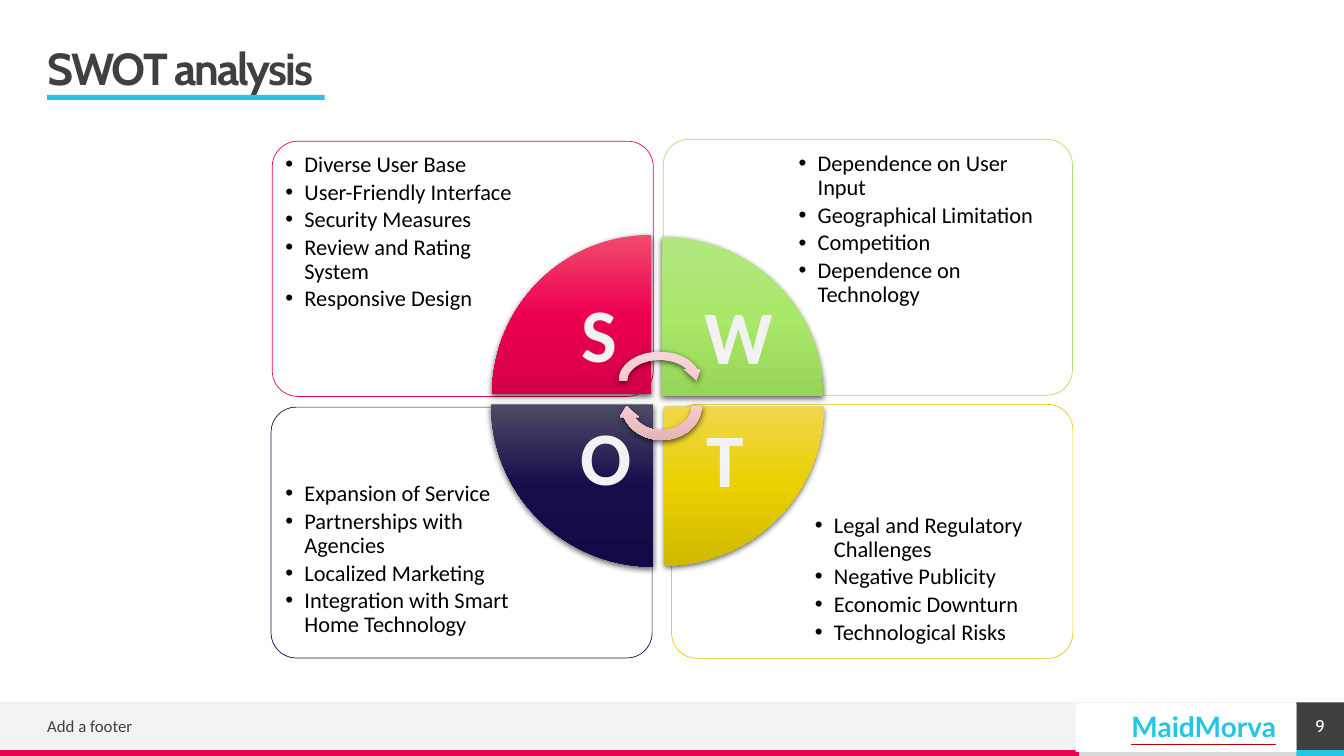
import pptx
import pptx.dml.color
import pptx.enum.shapes
import pptx.enum.text
import pptx.oxml
import pptx.oxml.ns
import pptx.util

Cm = pptx.util.Cm
Pt = pptx.util.Pt
RGBColor = pptx.dml.color.RGBColor
SHAPE = pptx.enum.shapes.MSO_SHAPE
ALIGN = pptx.enum.text.PP_ALIGN
ANCHOR = pptx.enum.text.MSO_ANCHOR
NAMESPACE = pptx.oxml.ns.nsdecls("a")
qualified = pptx.oxml.ns.qn

WHITE = RGBColor(0xFF, 0xFF, 0xFF)
BLACK = RGBColor(0, 0, 0)
DARK = RGBColor(0x40, 0x40, 0x40)
PALE = RGBColor(0xF2, 0xF2, 0xF2)
SILVER = RGBColor(0xDA, 0xDA, 0xDA)
CYAN = RGBColor(0x25, 0xC6, 0xE3)
PINK = RGBColor(0xE8, 0x05, 0x54)
GREEN = RGBColor(0xA9, 0xE2, 0x6F)
NAVY = RGBColor(0x1A, 0x0F, 0x49)
YELLOW = RGBColor(0xEA, 0xD0, 0x00)
UNDERLINE_RED = RGBColor(0xC0, 0x00, 0x00)

# Gradients run from top to bottom
PINK_STOPS = (RGBColor(0xF1, 0x4B, 0x6B), RGBColor(0xED, 0x00, 0x52), RGBColor(0xD3, 0x00, 0x49))
GREEN_STOPS = (RGBColor(0xB3, 0xE6, 0x81), RGBColor(0xA9, 0xE8, 0x69), RGBColor(0x96, 0xD5, 0x57))
YELLOW_STOPS = (RGBColor(0xF0, 0xD7, 0x4B), YELLOW, RGBColor(0xD0, 0xB9, 0x00))
NAVY_STOPS = (RGBColor(0x4E, 0x4C, 0x64), RGBColor(0x18, 0x0C, 0x4C), RGBColor(0x14, 0x08, 0x46))
ARROW_STOPS = (RGBColor(0xF8, 0xD6, 0xDA), RGBColor(0xF8, 0xCA, 0xCF), RGBColor(0xE0, 0xB0, 0xB5))

TITLE_FONT = {"name": "Cabin", "size": Pt(32), "bold": True}
LIST_FONT = {"name": "Calibri", "size": Pt(16), "bold": False}
LETTER_FONT = {"name": "Calibri", "size": Pt(54), "bold": True}
FOOTER_FONT = {"name": "Calibri", "size": Pt(12)}
NUMBER_FONT = {"name": "Cabin", "size": Pt(12)}
BADGE_FONT = {"name": "Lato", "size": Pt(20), "bold": True, "underline": True}

# Boxes are left, top, width, height in centimetres
QUADRANTS = [
    {"letter": "T", "line": YELLOW, "stops": YELLOW_STOPS, "rotation": 180,
     "card": (16.92, 10.19, 10.11, 6.4), "list": (20.09, 11.91, 6.81, 4.52),
     "wedge": (16.74, 10.24, 4.01, 4.01), "letter_at": (17.81, 10.24),
     "inset": 0.18, "indent": 0.74, "anchor": ANCHOR.BOTTOM,
     "items": ["Legal and Regulatory Challenges", "Negative Publicity",
               "Economic Downturn", "Technological Risks"]},
    {"letter": "O", "line": NAVY, "stops": NAVY_STOPS, "rotation": 270,
     "card": (6.83, 10.26, 9.6, 6.32), "list": (6.99, 11.96, 6.43, 4.47),
     "wedge": (12.37, 10.19, 4.09, 4.09), "letter_at": (14.63, 10.19),
     "inset": 0.2, "indent": 0.48, "anchor": ANCHOR.TOP,
     "items": ["Expansion of Service", "Partnerships with Agencies",
               "Localized Marketing", "Integration with Smart Home Technology"]},
    {"letter": "W", "line": GREEN, "stops": GREEN_STOPS, "rotation": 90,
     "card": (16.71, 3.51, 10.31, 6.45), "list": (19.94, 3.66, 6.73, 4.57),
     "wedge": (16.71, 5.94, 4.01, 4.06), "letter_at": (17.75, 7.14),
     "inset": 0.18, "indent": 0.48, "anchor": ANCHOR.TOP,
     "items": ["Dependence on User Input", "Geographical Limitation",
               "Competition", "Dependence on Technology"]},
    {"letter": "S", "line": PINK, "stops": PINK_STOPS, "rotation": 0,
     "card": (6.86, 3.56, 9.6, 6.43), "list": (7.01, 3.68, 6.45, 4.55),
     "wedge": (12.4, 5.92, 4.01, 4.01), "letter_at": (14.66, 7.11),
     "inset": 0.18, "indent": 0.48, "anchor": ANCHOR.TOP,
     "items": ["Diverse User Base", "User-Friendly Interface", "Security Measures",
               "Review and Rating System", "Responsive Design"]},
]


def apply_format(target, values):
    for name, value in values.items():
        setattr(target, name, value)


def place(shape, box):
    apply_format(shape, dict(zip(("left", "top", "width", "height"), map(Cm, box))))


def set_frame(frame, inset=0, anchor=ANCHOR.MIDDLE):
    sides = ("margin_left", "margin_top", "margin_right", "margin_bottom")
    apply_format(frame, dict.fromkeys(sides, Cm(inset)))
    apply_format(frame, {"word_wrap": True, "vertical_anchor": anchor,
                         "auto_size": pptx.enum.text.MSO_AUTO_SIZE.NONE})


def write(paragraph, text, font, color, align=ALIGN.LEFT, spacing=1.0, tracking=0):
    run = paragraph.add_run()
    run.text = text
    apply_format(run.font, font)
    run.font.color.rgb = color
    apply_format(paragraph, {"alignment": align, "line_spacing": spacing, "space_before": Pt(0)})
    if tracking:
        run.font._element.set("spc", str(tracking))
    return run


def add_block(slide, kind, box, fill=None, line=None):
    shape = slide.shapes.add_shape(kind, *map(Cm, box))
    shape.shadow.inherit = False
    if fill is not None:
        shape.fill.solid()
        shape.fill.fore_color.rgb = fill
    if line is None:
        shape.line.fill.background()
    else:
        shape.line.color.rgb = line
        shape.line.width = Pt(0.5)
    return shape


def add_label(slide, box, text, font, color, **options):
    label = slide.shapes.add_textbox(*map(Cm, box))
    set_frame(label.text_frame)
    write(label.text_frame.paragraphs[0], text, font, color, **options)


def add_glossy(slide, kind, box, stops, rotation):
    shape = add_block(slide, kind, box)
    shape.rotation = rotation
    shape.fill.background()
    properties = shape.element.spPr
    marks = "".join(f'<a:gs pos="{position}"><a:srgbClr val="{color}"/></a:gs>'
                    for position, color in zip((0, 50000, 100000), stops))
    gradient = pptx.oxml.parse_xml(
        f'<a:gradFill {NAMESPACE} rotWithShape="0"><a:gsLst>{marks}</a:gsLst>'
        '<a:lin ang="5400000" scaled="0"/></a:gradFill>')
    properties.replace(properties.find(qualified("a:noFill")), gradient)
    properties.find(qualified("a:effectLst")).append(pptx.oxml.parse_xml(
        f'<a:outerShdw {NAMESPACE} blurRad="57150" dist="19050" dir="5400000" algn="ctr" '
        'rotWithShape="0"><a:srgbClr val="000000"><a:alpha val="63000"/></a:srgbClr></a:outerShdw>'))


def add_card(slide, quadrant):
    card = add_block(slide, SHAPE.ROUNDED_RECTANGLE, quadrant["card"], WHITE, quadrant["line"])
    card.adjustments[0] = 0.1
    color = card.element.spPr.find(qualified("a:solidFill"))[0]
    color.append(pptx.oxml.parse_xml(f'<a:alpha {NAMESPACE} val="90000"/>'))


def fill_list(placeholder, quadrant):
    place(placeholder, quadrant["list"])
    frame = placeholder.text_frame
    set_frame(frame, quadrant["inset"], quadrant["anchor"])
    for index, item in enumerate(quadrant["items"]):
        paragraph = frame.add_paragraph() if index else frame.paragraphs[0]
        paragraph.level = 1
        properties = paragraph._p.get_or_add_pPr()
        properties.set("marL", str(Cm(quadrant["indent"])))
        properties.set("indent", str(Cm(-0.48)))
        properties.append(pptx.oxml.parse_xml(f'<a:buChar {NAMESPACE} char="•"/>'))
        write(paragraph, item, LIST_FONT, BLACK, spacing=0.9)
        paragraph.space_after = Pt(2.4)
    # Bring the list in front of its card
    placeholder.element.getparent().append(placeholder.element)


def add_footer(slide):
    for box, color in [((27.18, 18.9, 5.5, 0.15), SILVER), ((0, 17.7, 27.18, 1.2), PALE),
                       ((0, 18.9, 27.18, 0.15), PINK), ((32.66, 18.9, 1.2, 0.15), CYAN)]:
        add_block(slide, SHAPE.RECTANGLE, box, color)
    rule = slide.shapes.add_connector(pptx.enum.shapes.MSO_CONNECTOR.STRAIGHT,
                                      Cm(33.86), Cm(17.7), Cm(0), Cm(17.7))
    rule.line.color.rgb = PALE
    rule.line.width = Pt(0.5)
    rule.element.spPr.append(pptx.oxml.parse_xml(f"<a:effectLst {NAMESPACE}/>"))
    add_label(slide, (1.19, 17.88, 15.72, 0.81), "Add a footer", FOOTER_FONT, DARK)
    number = add_block(slide, SHAPE.RECTANGLE, (32.66, 17.7, 1.2, 1.2), DARK)
    set_frame(number.text_frame)
    write(number.text_frame.paragraphs[0], "9", NUMBER_FONT, WHITE, ALIGN.CENTER)


def add_badge(slide):
    badge = add_block(slide, SHAPE.RECTANGLE, (27.1, 17.75, 5.56, 1.2), WHITE)
    set_frame(badge.text_frame)
    badge.text_frame.margin_right = Cm(0.51)
    run = write(badge.text_frame.paragraphs[0], "MaidMorva", BADGE_FONT, CYAN, ALIGN.RIGHT, 0.9)
    run.font._element.find(qualified("a:solidFill")).addnext(pptx.oxml.parse_xml(
        f'<a:uFill {NAMESPACE}><a:solidFill><a:srgbClr val="{UNDERLINE_RED}"/></a:solidFill></a:uFill>'))


def main():
    presentation = pptx.Presentation()
    presentation.slide_width, presentation.slide_height = Cm(33.86), Cm(19.05)
    # The comparison layout holds a title and four bodies
    slide = presentation.slides.add_slide(presentation.slide_layouts[4])
    title, *lists = list(slide.placeholders)[:5]

    add_footer(slide)

    # Title
    place(title, (1.19, 1.19, 31.47, 1.19))
    set_frame(title.text_frame)
    write(title.text_frame.paragraphs[0], "SWOT analysis", TITLE_FONT, DARK,
          spacing=0.9, tracking=-150)

    # Cards with lists
    for quadrant, placeholder in zip(QUADRANTS, lists):
        add_card(slide, quadrant)
        fill_list(placeholder, quadrant)

    # Wheel with letters
    for quadrant in QUADRANTS:
        add_glossy(slide, SHAPE.PIE_WEDGE, quadrant["wedge"], quadrant["stops"], quadrant["rotation"])
        add_label(slide, (*quadrant["letter_at"], 2.2, 2.84), quadrant["letter"],
                  LETTER_FONT, PALE, spacing=0.9, tracking=50)
    for box, rotation in [((15.49, 8.76, 2.26, 1.65), 0), ((15.54, 9.25, 2.26, 1.96), 180)]:
        add_glossy(slide, SHAPE.CIRCULAR_ARROW, box, ARROW_STOPS, rotation)

    # Badge and title underline
    add_badge(slide)
    add_block(slide, SHAPE.RECTANGLE, (1.19, 2.39, 6.99, 0.13), CYAN)
    presentation.save("out.pptx")


if __name__ == "__main__":
    main()
